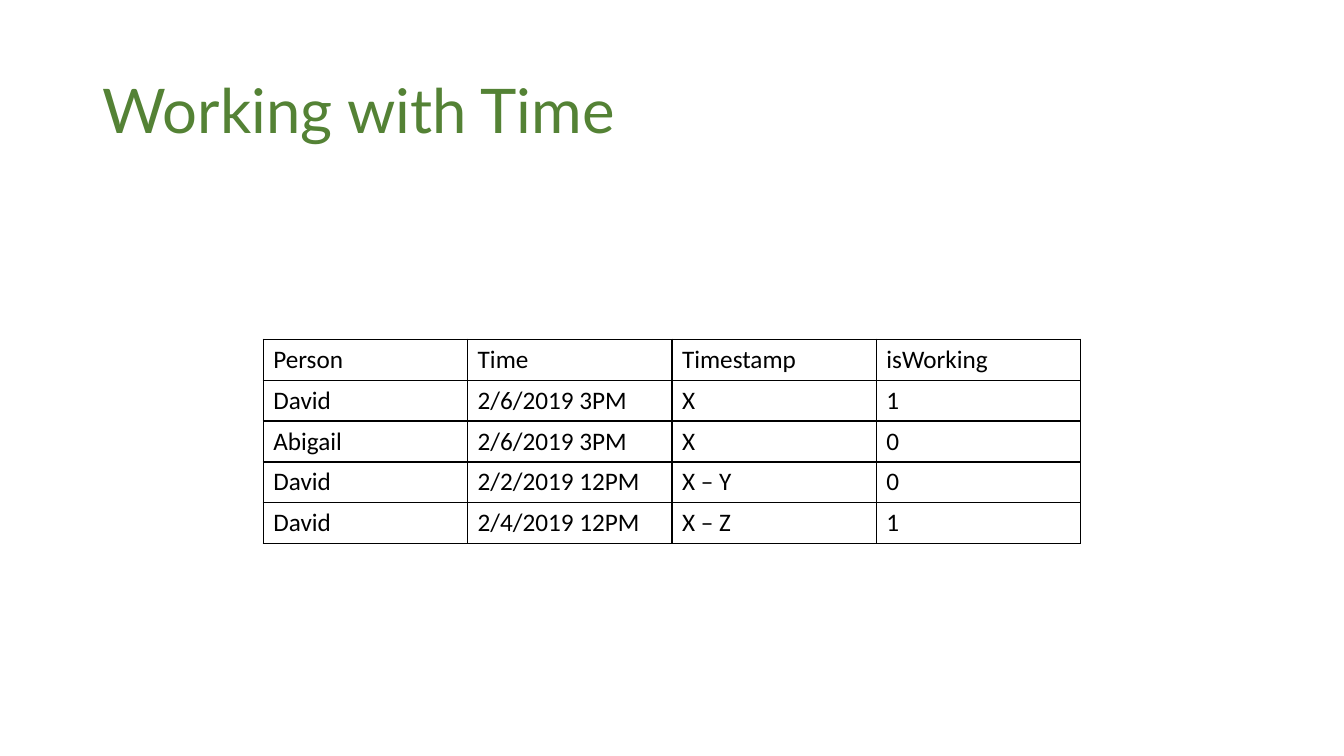
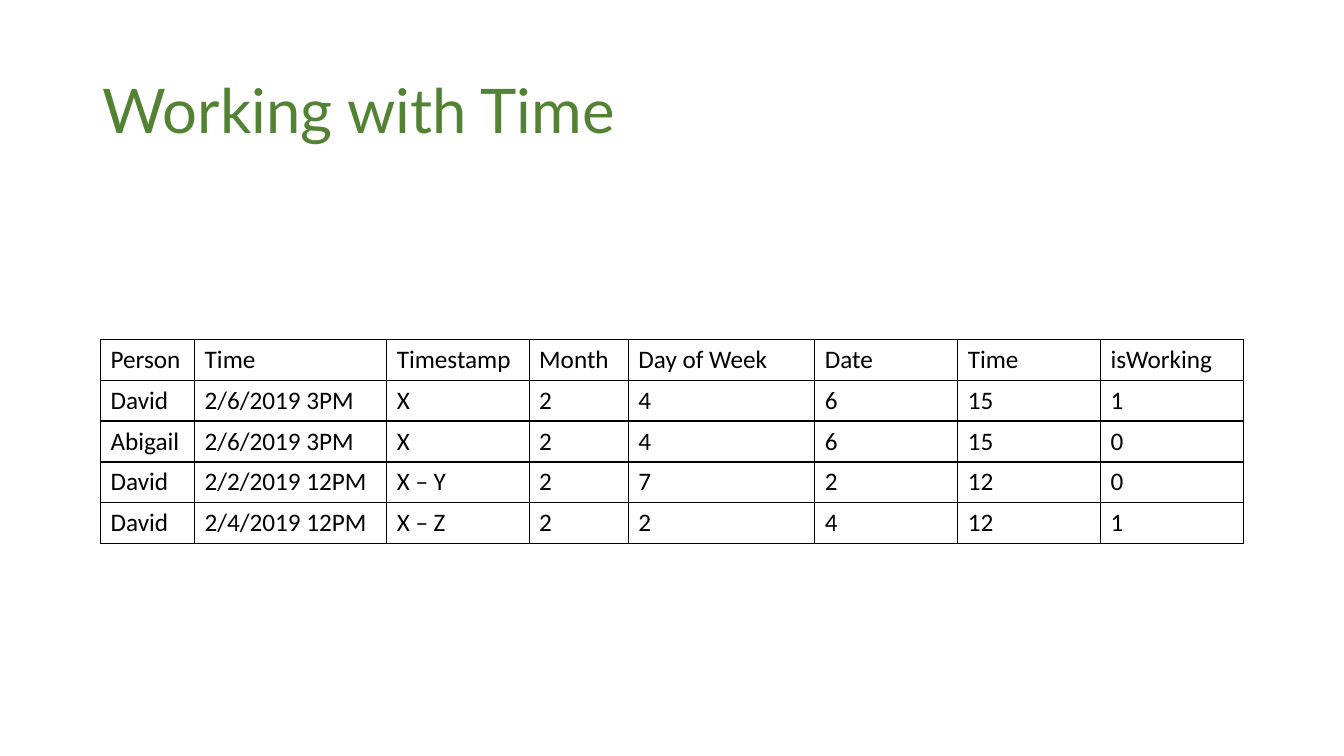
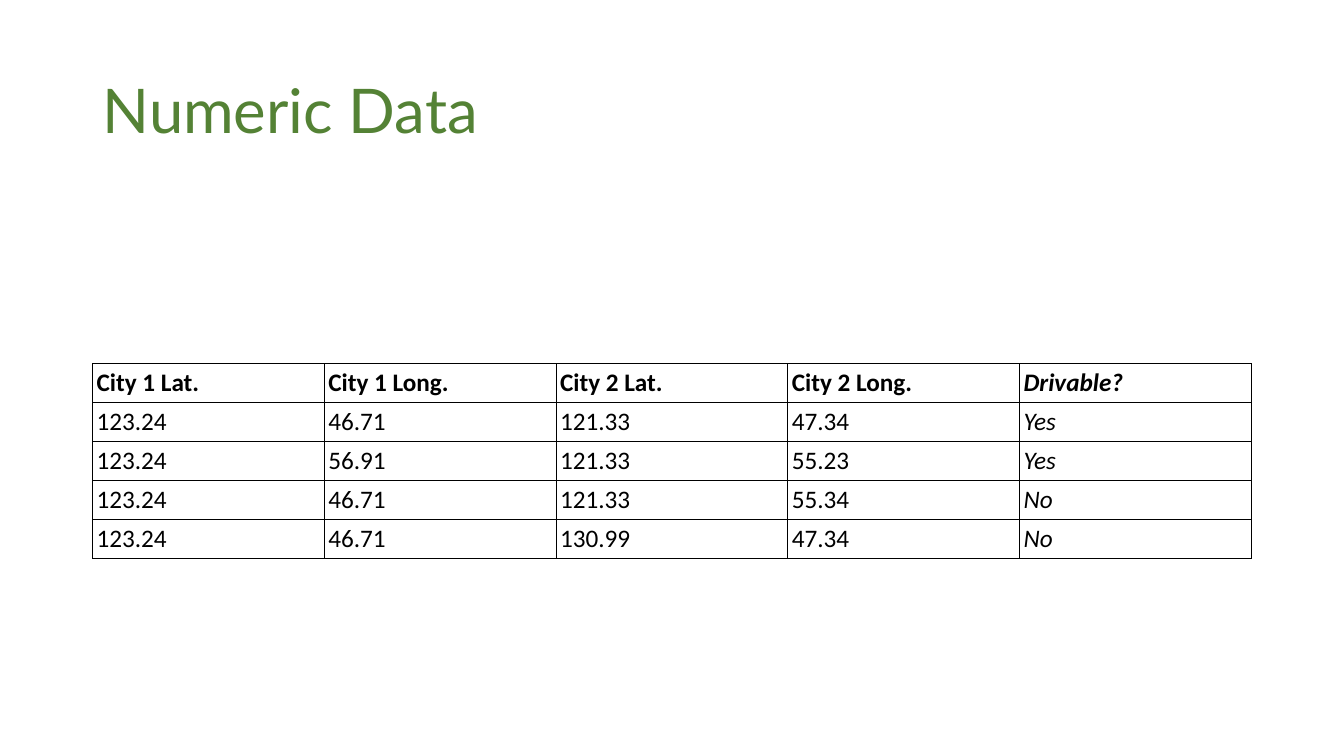
from lxml import etree
from pptx import Presentation
from pptx.dml.color import RGBColor
from pptx.enum.text import MSO_ANCHOR, MSO_AUTO_SIZE, PP_ALIGN
from pptx.oxml.ns import qn
from pptx.util import Cm, Pt

LEFT = PP_ALIGN.LEFT
TOP = MSO_ANCHOR.TOP
MIDDLE = MSO_ANCHOR.MIDDLE
NO_AUTOFIT = MSO_AUTO_SIZE.NONE

GREEN = RGBColor(0x54, 0x82, 0x35)
BLACK = RGBColor(0, 0, 0)
WHITE = RGBColor(0xFF, 0xFF, 0xFF)

SLIDE_WIDTH = 33.87
SLIDE_HEIGHT = 19.05
TITLE_ONLY_LAYOUT = 5
BORDER_TAGS = ("a:lnL", "a:lnR", "a:lnT", "a:lnB")

TIME_HEADER = ["Person", "Time", "Timestamp", "isWorking"]
TIME_ROWS = [
    ["David", "2/6/2019 3PM", "X", "1"],
    ["Abigail", "2/6/2019 3PM", "X", "0"],
    ["David", "2/2/2019 12PM", "X – Y", "0"],
    ["David", "2/4/2019 12PM", "X – Z", "1"],
]
DATE_PARTS = [
    ["Month", "Day of Week", "Date", "Time"],
    ["2", "4", "6", "15"],
    ["2", "4", "6", "15"],
    ["2", "7", "2", "12"],
    ["2", "2", "4", "12"],
]
CITY_ROWS = [
    ["City 1 Lat.", "City 1 Long.", "City 2 Lat.", "City 2 Long.", "Drivable?"],
    ["123.24", "46.71", "121.33", "47.34", "Yes"],
    ["123.24", "56.91", "121.33", "55.23", "Yes"],
    ["123.24", "46.71", "121.33", "55.34", "No"],
    ["123.24", "46.71", "130.99", "47.34", "No"],
]


def add_titled_slide(presentation, text):
    slide = presentation.slides.add_slide(presentation.slide_layouts[TITLE_ONLY_LAYOUT])
    title = slide.shapes.title
    title.left, title.top = Cm(2.33), Cm(1.01)
    title.width, title.height = Cm(29.21), Cm(3.68)
    text_frame = title.text_frame
    text_frame.text = text
    text_frame.word_wrap = True
    text_frame.auto_size = NO_AUTOFIT
    text_frame.vertical_anchor = MIDDLE
    paragraph = text_frame.paragraphs[0]
    paragraph.alignment = LEFT
    paragraph.line_spacing = 0.9
    font = paragraph.runs[0].font
    font.name, font.size, font.color.rgb = "Lato", Pt(44), GREEN
    return slide


def set_borders(cell, width):
    properties = cell._tc.get_or_add_tcPr()
    for index, tag in enumerate(BORDER_TAGS):
        line = etree.Element(qn(tag), w=str(Pt(width)))
        fill = etree.SubElement(line, qn("a:solidFill"))
        etree.SubElement(fill, qn("a:srgbClr"), val=str(BLACK))
        properties.insert(index, line)


def format_cell(cell, text, border_width):
    cell.text = text
    cell.fill.solid()
    cell.fill.fore_color.rgb = WHITE
    cell.vertical_anchor = TOP
    set_borders(cell, border_width)
    font = cell.text_frame.paragraphs[0].runs[0].font
    font.name, font.size, font.color.rgb = "Calibri", Pt(18), BLACK
    font.bold = False


def add_centred_table(slide, rows, column_widths, top, row_height, border_width):
    width = sum(column_widths)
    table = slide.shapes.add_table(
        len(rows), len(column_widths),
        Cm((SLIDE_WIDTH - width) / 2), Cm(top), Cm(width), Cm(row_height * len(rows)),
    ).table
    table.first_row = False
    table.horz_banding = False
    for column, column_width in zip(table.columns, column_widths):
        column.width = Cm(column_width)
    for row, texts in zip(table.rows, rows):
        row.height = Cm(row_height)
        for cell, text in zip(row.cells, texts):
            format_cell(cell, text, border_width)
    return table


def add_time_table(slide, rows, column_widths):
    add_centred_table(slide, rows, column_widths, 8.55, 1.03, 1)


def add_city_table(slide):
    table = add_centred_table(slide, CITY_ROWS, [5.84] * 5, 9.16, 0.98, 0.75)
    last_column = len(table.columns) - 1
    for row_index, row in enumerate(table.rows):
        for column_index, cell in enumerate(row.cells):
            cell.margin_left = cell.margin_right = Cm(0.1)
            cell.margin_top = cell.margin_bottom = Cm(0.1)
            cell.vertical_anchor = MIDDLE
            font = cell.text_frame.paragraphs[0].runs[0].font
            font.bold = row_index == 0
            font.italic = column_index == last_column


def main():
    presentation = Presentation()
    presentation.slide_width = Cm(SLIDE_WIDTH)
    presentation.slide_height = Cm(SLIDE_HEIGHT)

    time_rows = [TIME_HEADER] + TIME_ROWS
    slide = add_titled_slide(presentation, "Working with Time")
    add_time_table(slide, time_rows, [5.15] * 4)

    expanded_rows = [row[:3] + parts + row[3:] for row, parts in zip(time_rows, DATE_PARTS)]
    slide = add_titled_slide(presentation, "Working with Time")
    add_time_table(slide, expanded_rows, [2.37, 4.84, 3.59, 2.5, 4.7, 3.6, 3.6, 3.6])

    slide = add_titled_slide(presentation, "Numeric Data")
    add_city_table(slide)

    presentation.save("out.pptx")


if __name__ == "__main__":
    main()
